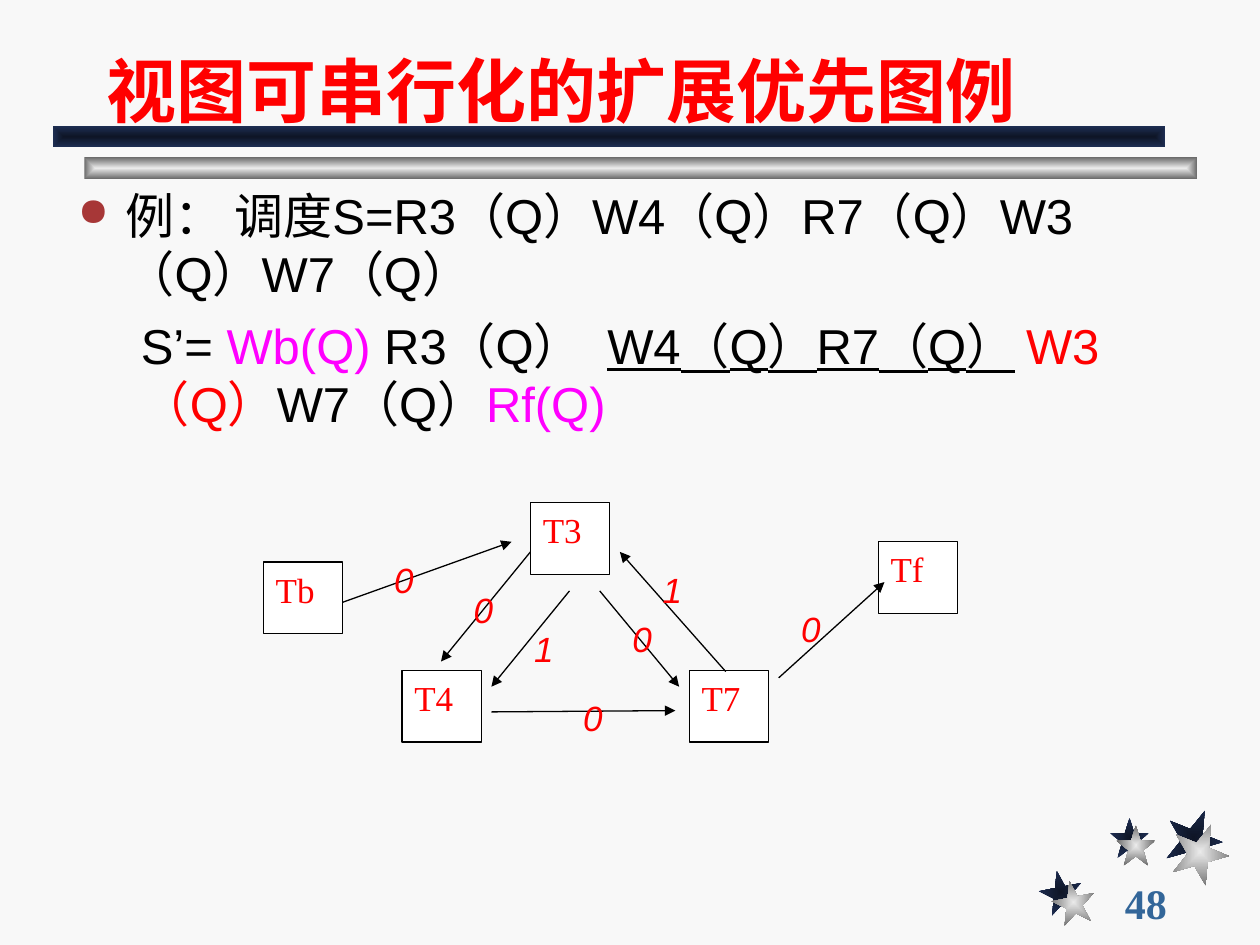
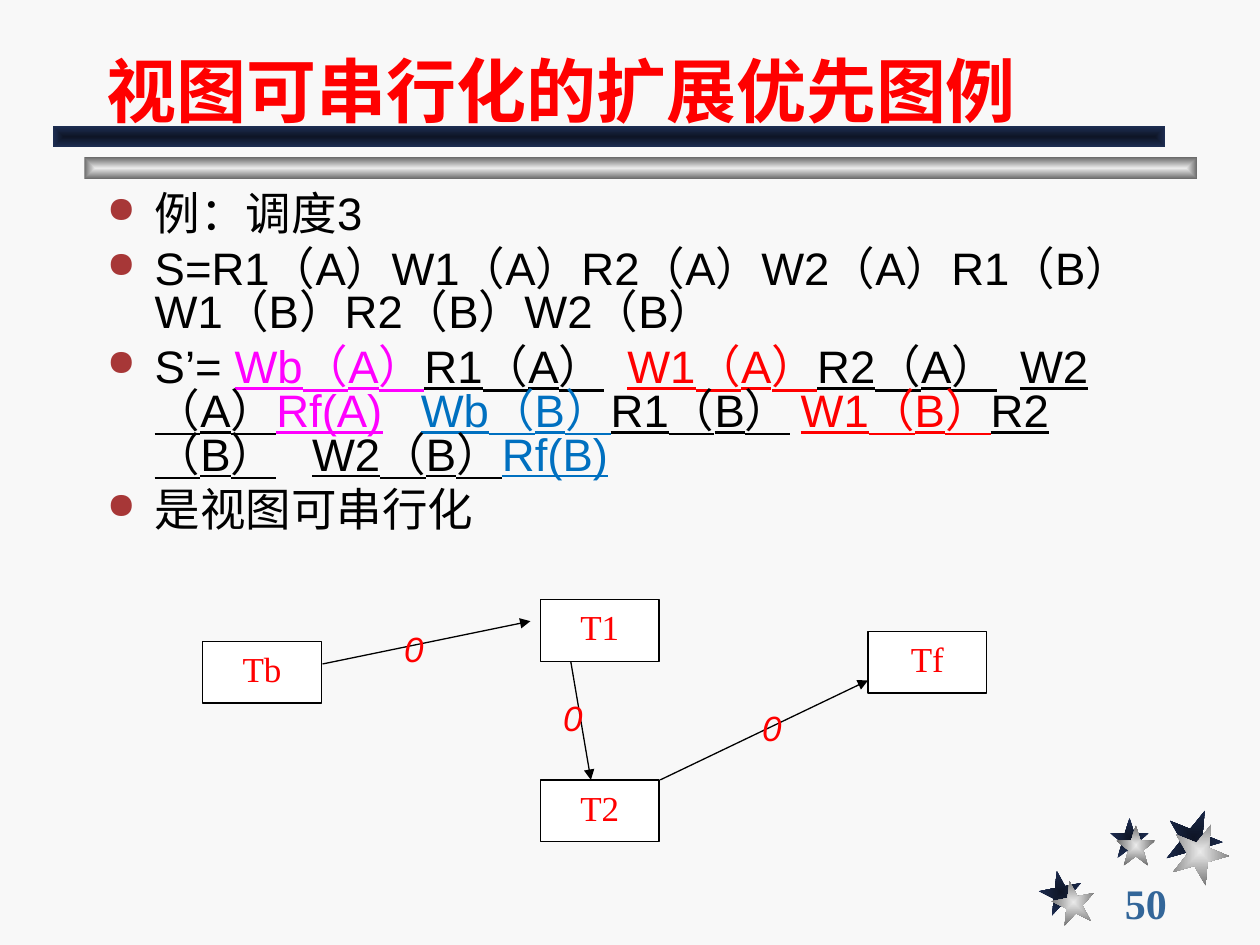
import pptx
import pptx.util
import pptx.dml.color
import pptx.enum.shapes
import pptx.enum.text
import pptx.oxml
import pptx.oxml.ns
from dataclasses import dataclass
from lxml import etree

Inches = pptx.util.Inches
Pt = pptx.util.Pt
Align = pptx.enum.text.PP_ALIGN
Anchor = pptx.enum.text.MSO_ANCHOR
Preset = pptx.enum.shapes.MSO_SHAPE
qn = pptx.oxml.ns.qn


@dataclass(frozen=True)
class Theme:
    background: str = "F8F8F8"
    ink: str = "000000"
    paper: str = "FFFFFF"
    red: str = "FF0000"
    magenta: str = "FF00FF"
    blue: str = "0070C0"
    bullet: str = "A73737"
    number: str = "336699"
    navy: tuple = ("0E1526", "1E2E53")
    silver: tuple = ("EAEAEA", "6C6C6C")
    sans: str = "Arial"
    serif: str = "Times New Roman"
    title_size: float = 40
    number_size: float = 24
    graph_size: float = 20
    hairline: float = 0.75


THEME = Theme()
TITLE = "视图可串行化的扩展优先图例"
SPACE_WIDTH = 0.28  # width of a space, in ems


def rgb(value):
    return pptx.dml.color.RGBColor.from_string(value)


def add_bullet(paragraph):
    properties = paragraph._p.get_or_add_pPr()
    color = etree.SubElement(properties, qn("a:buClr"))
    etree.SubElement(color, qn("a:srgbClr"), val=THEME.bullet)
    etree.SubElement(properties, qn("a:buSzPct"), val="80000")
    etree.SubElement(properties, qn("a:buChar"), char="●")


def write(paragraph, text, size, color=THEME.ink, font=THEME.sans, bold=False,
          italic=False, underline=False, spaces=1):
    """Append a run; spaces widens a single blank to that many blanks."""
    run = paragraph.add_run()
    run.text = text
    run.font.size = Pt(size)
    run.font.name = font
    run.font.color.rgb = rgb(color)
    run.font.bold = bold
    run.font.italic = italic
    run.font.underline = underline
    if spaces > 1:
        extra = (spaces - 1) * SPACE_WIDTH * size
        run._r.get_or_add_rPr().set("spc", str(round(extra * 100)))


def add_text_box(slide, left, top, width, height, wrap=True, anchor=Anchor.TOP):
    box = slide.shapes.add_textbox(
        Inches(left), Inches(top), Inches(width), Inches(height))
    box.text_frame.word_wrap = wrap
    box.text_frame.vertical_anchor = anchor
    return box.text_frame


def add_gradient_shape(slide, preset, left, top, width, height, colors, rotation=0):
    """Add a borderless shape shaded from its centre to its edges."""
    shape = slide.shapes.add_shape(
        preset, Inches(left), Inches(top), Inches(width), Inches(height))
    shape.shadow.inherit = False
    shape.rotation = rotation
    shape.line.fill.background()
    shape.fill.solid()
    solid = shape._element.spPr.find(qn("a:solidFill"))
    gradient = etree.Element(qn("a:gradFill"), rotWithShape="1")
    stops = etree.SubElement(gradient, qn("a:gsLst"))
    for position, color in zip(("0", "100000"), colors):
        stop = etree.SubElement(stops, qn("a:gs"), pos=position)
        etree.SubElement(stop, qn("a:srgbClr"), val=color)
    shading = etree.SubElement(gradient, qn("a:path"), path="rect")
    etree.SubElement(shading, qn("a:fillToRect"),
                     l="50000", t="50000", r="50000", b="50000")
    solid.getparent().replace(solid, gradient)


def add_stars(slide, left, top):
    """Draw three navy stars, each half covered by a silver one."""
    stars = [  # navy x, y, silver x, y, width, height, rotation
        (0, 0.49, 0.1, 0.57, 0.34, 0.34, 349),
        (0.56, 0.07, 0.61, 0.13, 0.31, 0.32, 0),
        (1, 0, 1.05, 0.11, 0.45, 0.46, 22),
    ]
    for navy_x, navy_y, silver_x, silver_y, width, height, rotation in stars:
        for x, y, colors in ((navy_x, navy_y, THEME.navy),
                             (silver_x, silver_y, THEME.silver)):
            add_gradient_shape(slide, Preset.STAR_5_POINT, left + x, top + y,
                               width, height, colors, rotation)


def add_title_bands(slide, left, top):
    for step, colors in ((1, THEME.silver), (0, THEME.navy)):
        add_gradient_shape(slide, Preset.RECTANGLE, left + step * 0.25,
                           top + step * 0.25, 8.83, 0.17, colors)


def add_frame(presentation, number):
    """Start a slide with everything that all slides share."""
    slide = presentation.slides.add_slide(presentation.slide_layouts[6])
    slide.background.fill.solid()
    slide.background.fill.fore_color.rgb = rgb(THEME.background)
    add_stars(slide, 8.25, 6.42)
    add_title_bands(slide, 0.42, 1)
    page = add_text_box(slide, 8.83, 7, 1.08, 0.33, False, Anchor.MIDDLE)
    write(page.paragraphs[0], number, THEME.number_size, THEME.number,
          THEME.serif, bold=True)
    title = add_text_box(slide, 0.75, 0.17, 8.5, 0.92, anchor=Anchor.BOTTOM)
    write(title.paragraphs[0], TITLE, THEME.title_size, THEME.red, bold=True)
    return slide


def add_schedule(slide, box, paragraphs, size, line_spacing=1.0):
    """Write paragraphs given as (bulleted, [(text, format), ...])."""
    frame = add_text_box(slide, *box)
    for index, (bulleted, parts) in enumerate(paragraphs):
        paragraph = frame.add_paragraph() if index else frame.paragraphs[0]
        paragraph.line_spacing = line_spacing
        paragraph.space_before = Pt(size / 4 if index else 0)
        properties = paragraph._p.get_or_add_pPr()
        margin, indent = (0.38, -0.38) if bulleted else (0.5, 0)
        properties.set("marL", str(Inches(margin)))
        properties.set("indent", str(Inches(indent)))
        if bulleted:
            add_bullet(paragraph)
        for text, style in parts:
            write(paragraph, text, size, **style)


def add_node(slide, left, top, width, height, name, align):
    node = slide.shapes.add_shape(
        Preset.RECTANGLE, Inches(left), Inches(top), Inches(width), Inches(height))
    node.shadow.inherit = False
    node.fill.solid()
    node.fill.fore_color.rgb = rgb(THEME.paper)
    node.line.color.rgb = rgb(THEME.ink)
    node.line.width = Pt(THEME.hairline)
    node.text_frame.vertical_anchor = Anchor.TOP
    paragraph = node.text_frame.paragraphs[0]
    paragraph.alignment = align
    write(paragraph, name, THEME.graph_size, THEME.red, THEME.serif)


def add_arrow(slide, x1, y1, x2, y2):
    arrow = slide.shapes.add_connector(
        pptx.enum.shapes.MSO_CONNECTOR.STRAIGHT,
        Inches(x1), Inches(y1), Inches(x2), Inches(y2))
    arrow.line.color.rgb = rgb(THEME.ink)
    arrow.line.width = Pt(THEME.hairline)
    etree.SubElement(arrow.line._get_or_add_ln(), qn("a:tailEnd"), type="triangle")
    etree.SubElement(arrow._element.spPr, qn("a:effectLst"))


def add_weight(slide, left, top, weight):
    label = add_text_box(slide, left, top, 0.35, 0.44, wrap=False)
    label.paragraphs[0].alignment = Align.CENTER
    write(label.paragraphs[0], weight, THEME.graph_size, THEME.red, italic=True)


def add_precedence_graph(slide, left, top, node_size, nodes, edges, align):
    """Place nodes {name: (x, y)} and edges (start, end, weight, label place)."""
    for name, (x, y) in nodes.items():
        add_node(slide, left + x, top + y, *node_size, name, align)
    for (x1, y1), (x2, y2), _, _ in edges:
        add_arrow(slide, left + x1, top + y1, left + x2, top + y2)
    for _, _, weight, (x, y) in edges:
        add_weight(slide, left + x, top + y, weight)


def operation(text, color=THEME.ink, underline=True):
    return text, {"color": color, "underline": underline}


def plain(text):
    return operation(text, underline=False)


def gap(spaces=1):
    return " ", {"spaces": spaces}


def build_single_item_slide(presentation):
    slide = add_frame(presentation, "48")
    schedule = [
        (True, [plain("例： 调度S=R3（Q）W4（Q）R7（Q）W3（Q）W7（Q）")]),
        (False, [
            plain("S’= "), operation("Wb(Q)", THEME.magenta, False),
            plain(" R3（Q）"), gap(2), operation("W4（Q）R7（Q）"), gap(),
            operation("W3（Q）", THEME.red, False), plain("W7（Q）"),
            operation("Rf(Q)", THEME.magenta, False),
        ]),
    ]
    add_schedule(slide, (0.52, 1.42, 9.17, 2.25), schedule, 28)
    nodes = {"Tb": (0, 0.47), "Tf": (4.88, 0.31), "T3": (2.12, 0),
             "T4": (1.1, 1.33), "T7": (3.38, 1.33)}
    edges = [
        ((0.63, 0.79), (1.97, 0.31), "0", (0.94, 0.39)),
        ((2.12, 0.39), (1.41, 1.26), "0", (1.57, 0.63)),
        ((2.43, 0.7), (1.81, 1.46), "1", (2.05, 0.94)),
        ((2.67, 0.7), (3.3, 1.46), "0", (2.83, 0.86)),
        ((3.67, 1.34), (2.83, 0.39), "1", (3.07, 0.47)),
        ((1.81, 1.66), (3.27, 1.65), "0", (2.44, 1.49)),
        ((4.09, 1.39), (4.93, 0.63), "0", (4.17, 0.78)),
    ]
    add_precedence_graph(slide, 2.09, 3.99, (0.63, 0.57), nodes, edges, Align.JUSTIFY)


def build_two_item_slide(presentation):
    slide = add_frame(presentation, "50")
    schedule = [
        (True, [plain("例：调度3")]),
        (True, [plain("S=R1（A）W1（A）R2（A）W2（A）R1（B）W1（B）R2（B）W2（B）")]),
        (True, [
            plain("S’= "), operation("Wb（A）", THEME.magenta),
            operation("R1（A）"), gap(2), operation("W1（A）", THEME.red),
            operation("R2（A）"), gap(2), operation("W2（A）"),
            operation("Rf(A)", THEME.magenta), gap(3),
            operation("Wb（B）", THEME.blue), operation("R1（B）"), gap(),
            operation("W1（B）", THEME.red), operation("R2（B）"), gap(3),
            operation("W2（B）"), operation("Rf(B)", THEME.blue),
        ]),
        (True, [plain("是视图可串行化")]),
    ]
    add_schedule(slide, (0.75, 1.5, 8.5, 2.8), schedule, 26, 0.8)
    nodes = {"Tb": (0, 0.33), "Tf": (5.28, 0.25), "T1": (2.68, 0), "T2": (2.68, 1.43)}
    edges = [
        ((0.95, 0.51), (2.6, 0.17), "0", (1.5, 0.17)),
        ((2.92, 0.49), (3.08, 1.43), "0", (2.76, 0.72)),
        ((3.63, 1.43), (5.28, 0.64), "0", (4.34, 0.8)),
    ]
    add_precedence_graph(slide, 1.61, 4.76, (0.94, 0.49), nodes, edges, Align.CENTER)


def main():
    presentation = pptx.Presentation()
    presentation.slide_width = Inches(10)
    presentation.slide_height = Inches(7.5)
    build_single_item_slide(presentation)
    build_two_item_slide(presentation)
    presentation.save("out.pptx")


if __name__ == "__main__":
    main()
